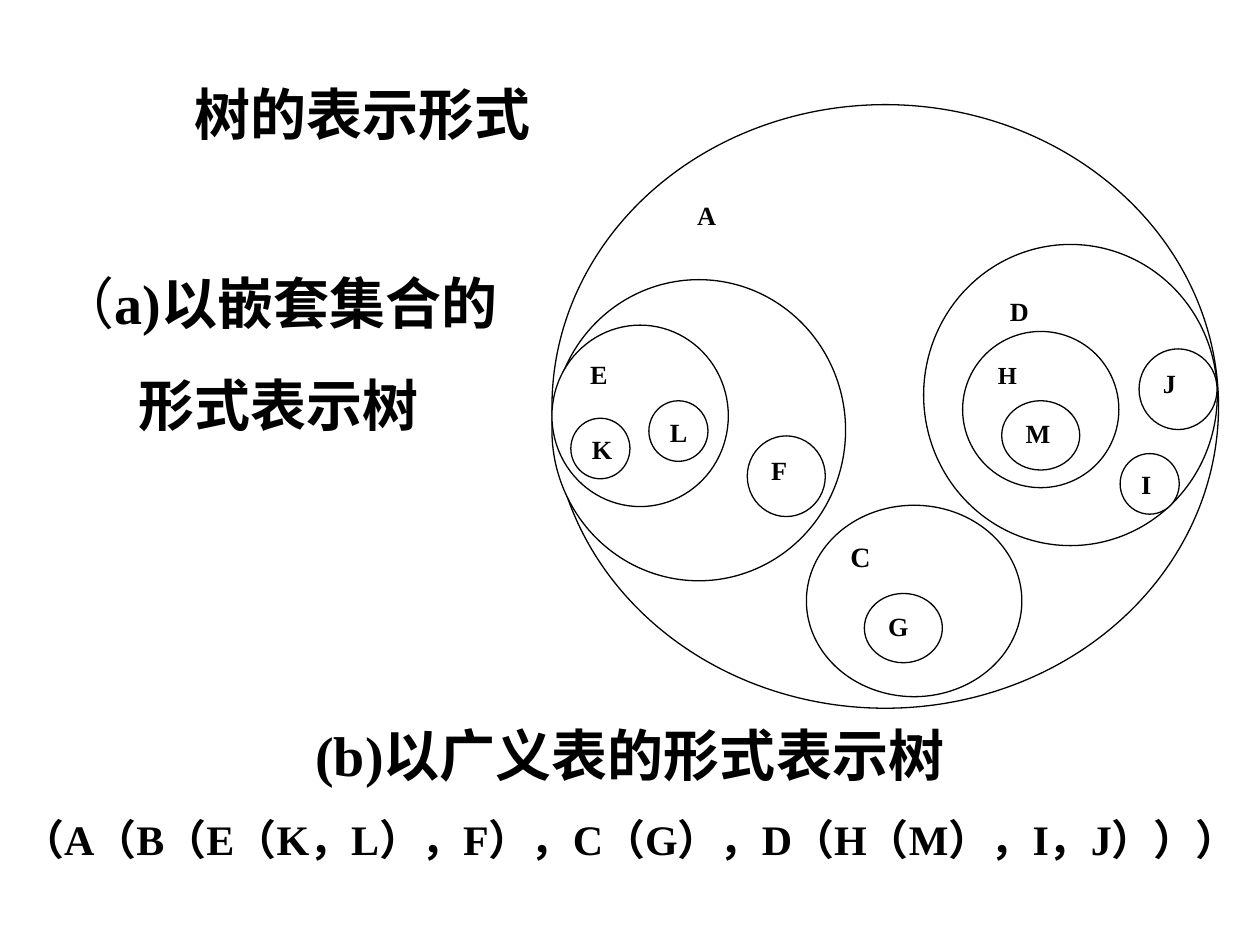
from dataclasses import dataclass

from pptx import Presentation
from pptx import util as u
from pptx.dml.color import RGBColor
from pptx.enum import shapes, text
from pptx.shapes.group import GroupShape
from pptx.slide import Slide


@dataclass(frozen=True)
class Theme:
    font: str = "Times New Roman"
    ink: RGBColor = RGBColor(0, 0, 0)
    paper: RGBColor = RGBColor(255, 255, 255)
    outline: float = 0.75
    heading: float = 32
    notation: float = 24
    label: float = 15
    label_large: float = 16
    label_small: float = 14


THEME = Theme()


@dataclass(frozen=True)
class Node:
    label: str
    left: float
    top: float
    width: float
    height: float
    size: float = THEME.label
    label_shift: float = 0


@dataclass(frozen=True)
class Line:
    text: str
    size: float = THEME.heading
    space_before: float = 0
    light_prefix: str = ""


@dataclass(frozen=True)
class Caption:
    left: float
    top: float
    width: float
    height: float
    lines: tuple[Line, ...]


BRANCH = (167.8, 172.1)
OVAL_LEAF = (44.6, 39.6)
ROUND_LEAF = (44.6, 46.1)
SMALL_LEAF = (33.8, 34.6)

NODES = (
    Node("A", 315.4, 59.8, 380.9, 344.9, label_shift=20),
    Node("", 315.4, 159.8, *BRANCH),
    Node("D", 527.8, 139.7, *BRANCH, label_shift=17.5),
    Node("C", 460.8, 288.7, 123.1, 109.4, THEME.label_large),
    Node("G", 493.9, 339.1, *OVAL_LEAF),
    Node("H", 550.1, 189.4, 89.3, 89.3, THEME.label_small),
    Node("M", 572.4, 229, *OVAL_LEAF),
    Node("J", 650.9, 199.4, *ROUND_LEAF),
    Node("I", 640.1, 259.2, *SMALL_LEAF),
    Node("E", 315.4, 185.8, 100.8, 103.7),
    Node("K", 326.2, 239, *SMALL_LEAF),
    Node("L", 370.8, 229, *SMALL_LEAF),
    Node("F", 427, 249.1, *ROUND_LEAF),
)

CAPTIONS = (
    Caption(18, 149.8, 282.2, 104.4, (
        Line("a)以嵌套集合的", light_prefix="（"),
        Line("形式表示树", space_before=20),
    )),
    Caption(0, 408.2, 720, 118.1, (
        Line("(b)以广义表的形式表示树"),
        Line("（A（B（E（K，L），F），C（G），D（H（M），I，J）））",
             THEME.notation, 15),
    )),
    Caption(48.2, 41.8, 318.2, 46.1, (Line("树的表示形式"),)),
)


def format_run(run, size: float, bold: bool = True) -> None:
    run.font.name = THEME.font
    run.font.size = u.Pt(size)
    run.font.bold = bold
    run.font.color.rgb = THEME.ink


def bounds(item: Node | Caption) -> tuple[u.Length, ...]:
    return tuple(u.Pt(value) for value in
                 (item.left, item.top, item.width, item.height))


def draw_node(group: GroupShape, node: Node) -> None:
    shape = group.shapes.add_shape(shapes.MSO_SHAPE.OVAL, *bounds(node))
    shape.shadow.inherit = False
    shape.fill.solid()
    shape.fill.fore_color.rgb = THEME.paper
    shape.line.color.rgb = THEME.ink
    shape.line.width = u.Pt(THEME.outline)
    if not node.label:
        return
    frame = shape.text_frame
    frame.text = node.label
    frame.word_wrap = True
    frame.vertical_anchor = text.MSO_ANCHOR.TOP
    frame.margin_left = u.Pt(7.2 + node.label_shift)
    paragraph = frame.paragraphs[0]
    paragraph.alignment = text.PP_ALIGN.JUSTIFY
    format_run(paragraph.runs[0], node.size)


def draw_caption(slide: Slide, caption: Caption) -> None:
    frame = slide.shapes.add_textbox(*bounds(caption)).text_frame
    frame.word_wrap = True
    frame.auto_size = text.MSO_AUTO_SIZE.SHAPE_TO_FIT_TEXT
    frame.text = "\n".join(line.text for line in caption.lines)
    for paragraph, line in zip(frame.paragraphs, caption.lines):
        paragraph.alignment = text.PP_ALIGN.CENTER
        if line.space_before:
            paragraph.space_before = u.Pt(line.space_before)
        if line.light_prefix:
            paragraph.text = line.light_prefix
            format_run(paragraph.runs[0], line.size, bold=False)
            paragraph.add_run().text = line.text
        format_run(paragraph.runs[-1], line.size)


def main() -> None:
    presentation = Presentation()
    presentation.slide_width = u.Pt(720)
    presentation.slide_height = u.Pt(540)
    slide = presentation.slides.add_slide(presentation.slide_layouts[6])
    group = slide.shapes.add_group_shape()
    for node in NODES:
        draw_node(group, node)
    for caption in CAPTIONS:
        draw_caption(slide, caption)
    presentation.save("out.pptx")


if __name__ == "__main__":
    main()
